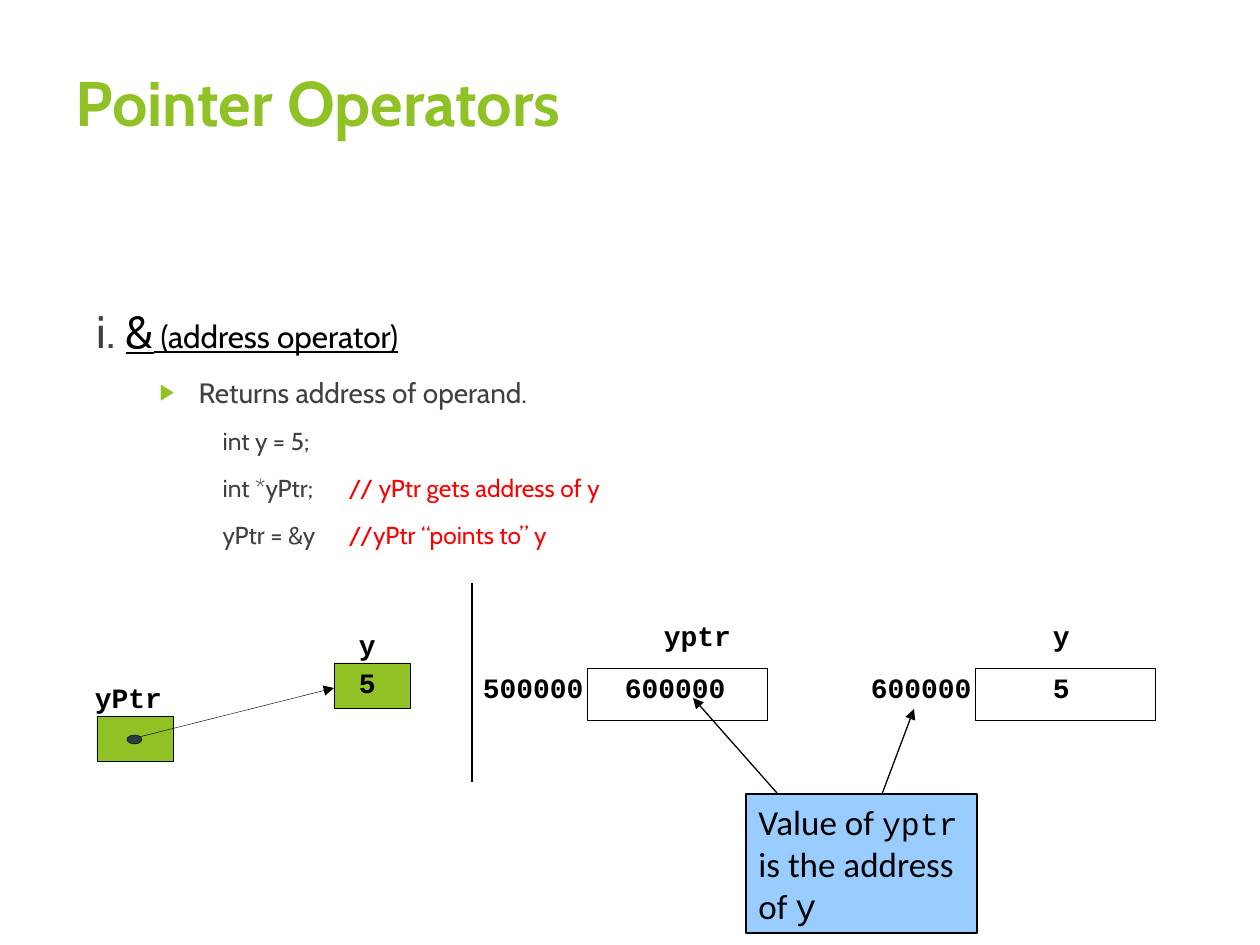
from lxml.etree import SubElement
from pptx import Presentation
from pptx.dml.color import RGBColor
from pptx.enum.shapes import MSO_CONNECTOR, MSO_SHAPE
from pptx.enum.text import MSO_ANCHOR, MSO_AUTO_SIZE, PP_ALIGN
from pptx.oxml.ns import qn
from pptx.util import Pt

EMU_PER_PX = 914400 / 126
BODY_FONT, CODE_FONT, NOTE_FONT = "Cabin", "Courier New", "Calibri"
GREEN, GRAY, BLACK, RED = "90C226", "404040", "000000", "FF0000"
SLATE, SKY = "2C3C43", "99CCFF"


def px(length):
    """Turn pixels into EMU."""
    return round(length * EMU_PER_PX)


def rgb(code):
    """Turn a hex string into a colour."""
    return RGBColor.from_string(code)


def add_text(paragraph, text, size=16, font=BODY_FONT, color=BLACK, bold=False, underline=False):
    """Append a formatted run to a paragraph."""
    run = paragraph.add_run()
    run.text = text
    run.font.size = Pt(size)
    run.font.name = font
    run.font.color.rgb = rgb(color)
    run.font.bold = bold
    run.font.underline = underline


def add_element(parent, tag, **attributes):
    """Append a DrawingML element to a parent."""
    return SubElement(parent, qn(tag), attributes)


class PointerSlide:
    """Hold the drawing style and the current slide."""

    def __init__(self, presentation, stroke=0.25):
        """Add a title and content slide."""
        self.slide = presentation.slides.add_slide(presentation.slide_layouts[1])
        self.stroke = stroke

    def place(self, placeholder, left, top, width, height):
        """Move a placeholder and return its text frame."""
        placeholder.left, placeholder.top = px(left), px(top)
        placeholder.width, placeholder.height = px(width), px(height)
        frame = placeholder.text_frame
        frame.auto_size = MSO_AUTO_SIZE.NONE
        frame.vertical_anchor = MSO_ANCHOR.TOP
        return frame

    def title(self, text, *box):
        """Fill the title placeholder."""
        heading = self.place(self.slide.shapes.title, *box).paragraphs[0]
        heading.alignment = PP_ALIGN.LEFT
        add_text(heading, text, size=36, color=GREEN, bold=True)

    def body(self, items, *box):
        """Fill the body placeholder with (level, runs) items."""
        frame = self.place(self.slide.placeholders[1], *box)
        margins = {0: (0, 0), 1: (102, -39), 2: (0, 126)}
        for index, (level, runs) in enumerate(items):
            item = frame.add_paragraph() if index else frame.paragraphs[0]
            item.level = level
            item.space_before = Pt(10)
            properties = item._p.get_or_add_pPr()
            margin, indent = margins[level]
            properties.set("marL", str(px(margin)))
            properties.set("indent", str(px(indent)))
            if level == 1:
                bullet_color = add_element(properties, "a:buClr")
                add_element(bullet_color, "a:srgbClr", val=GREEN)
                add_element(properties, "a:buSzPct", val="80000")
                add_element(properties, "a:buChar", char="▶")
            else:
                add_element(properties, "a:buNone")
            if level == 2:
                tabs = add_element(properties, "a:tabLst")
                add_element(tabs, "a:tab", pos=str(px(245)), algn="l")
            for text, style in runs:
                add_text(item, text, **style)

    def shape(self, preset, left, top, width, height, fill=None, stroke=None):
        """Draw an outlined preset shape."""
        figure = self.slide.shapes.add_shape(preset, px(left), px(top), px(width), px(height))
        figure.shadow.inherit = False
        if fill:
            figure.fill.solid()
            figure.fill.fore_color.rgb = rgb(fill)
        else:
            figure.fill.background()
        figure.line.color.rgb = rgb(BLACK)
        figure.line.width = Pt(stroke or self.stroke)
        return figure

    def label(self, text, left, top, width, height, spacing):
        """Write a bold code label."""
        box = self.slide.shapes.add_textbox(px(left), px(top), px(width), px(height))
        frame = box.text_frame
        frame.word_wrap = True
        frame.margin_left = frame.margin_right = frame.margin_top = frame.margin_bottom = 0
        frame.paragraphs[0].line_spacing = spacing
        add_text(frame.paragraphs[0], text, font=CODE_FONT, bold=True)

    def line(self, start, end, stroke=None, arrow=True):
        """Draw a straight line, with an arrowhead at its end if wanted."""
        link = self.slide.shapes.add_connector(
            MSO_CONNECTOR.STRAIGHT, *map(px, start), *map(px, end))
        link.line.color.rgb = rgb(BLACK)
        link.line.width = Pt(stroke or self.stroke)
        if arrow:
            add_element(link.line._get_or_add_ln(), "a:tailEnd", type="triangle")
        add_element(link._element.spPr, "a:effectLst")

    def callout(self, runs, *box):
        """Draw a filled note with mixed text."""
        note = self.shape(MSO_SHAPE.RECTANGLE, *box, fill=SKY, stroke=0.75)
        frame = note.text_frame
        frame.word_wrap = True
        frame.auto_size = MSO_AUTO_SIZE.SHAPE_TO_FIT_TEXT
        frame.vertical_anchor = MSO_ANCHOR.TOP
        frame.paragraphs[0].alignment = PP_ALIGN.LEFT
        for text, style in runs:
            add_text(frame.paragraphs[0], text, **style)


def main():
    """Build the pointer operators slide."""
    presentation = Presentation()
    presentation.slide_width, presentation.slide_height = px(1260), px(945)
    page = PointerSlide(presentation)
    page.title("Pointer Operators", 63, 57, 1134, 157)

    code = {"size": 14, "color": GRAY}
    comment = {"size": 14, "color": RED}
    page.body([
        (0, [("i. ", {"size": 26, "color": GRAY}),
             ("&", {"size": 26, "underline": True}),
             (" (address operator)", {"size": 18, "underline": True})]),
        (1, [("Returns address of operand.", {"color": GRAY})]),
        (2, [("int y = 5;", code)]),
        (2, [("int *yPtr;\t", code), ("// yPtr gets address of y", comment)]),
        (2, [("yPtr = &y\t", code), ("//yPtr “points to” y", comment)]),
    ], 84, 297, 874, 534)

    for left, top in ((97, 716), (334, 663)):
        page.shape(MSO_SHAPE.RECTANGLE, left, top, 76, 45, fill=GREEN)
    page.line((135, 738), (334, 688))
    page.shape(MSO_SHAPE.OVAL, 127, 735, 15, 9, fill=SLATE)
    for text, left, top, width in (("yPtr", 95, 689, 79), ("y", 359, 636, 25), ("5", 359, 674, 25)):
        page.label(text, left, top, width, 26, 0.72)

    memory = (
        ("yptr", 664, 71, "500000", 483, "600000", 625, 103),
        ("y", 1053, 21, "600000", 871, "5", 1053, 21),
    )
    for name, name_left, name_width, address, left, value, value_left, value_width in memory:
        page.label(name, name_left, 625, name_width, 40, 0.8)
        page.label(address, left, 677, 103, 40, 0.8)
        page.label(value, value_left, 677, value_width, 40, 0.8)
        page.shape(MSO_SHAPE.RECTANGLE, left + 104, 668, 180, 52)
    page.line((472, 583), (472, 782), stroke=0.75, arrow=False)

    prose = {"size": 20, "font": NOTE_FONT}
    page.callout([
        ("Value of ", prose),
        ("yptr ", {"size": 18, "font": CODE_FONT}),
        ("is the address of ", prose),
        ("y", {"size": 20, "font": CODE_FONT}),
    ], 746, 794, 231, 139)
    for start, end in (((882, 794), (914, 709)), ((777, 793), (693, 698))):
        page.line(start, end, stroke=0.75)

    presentation.save("out.pptx")


if __name__ == "__main__":
    main()
